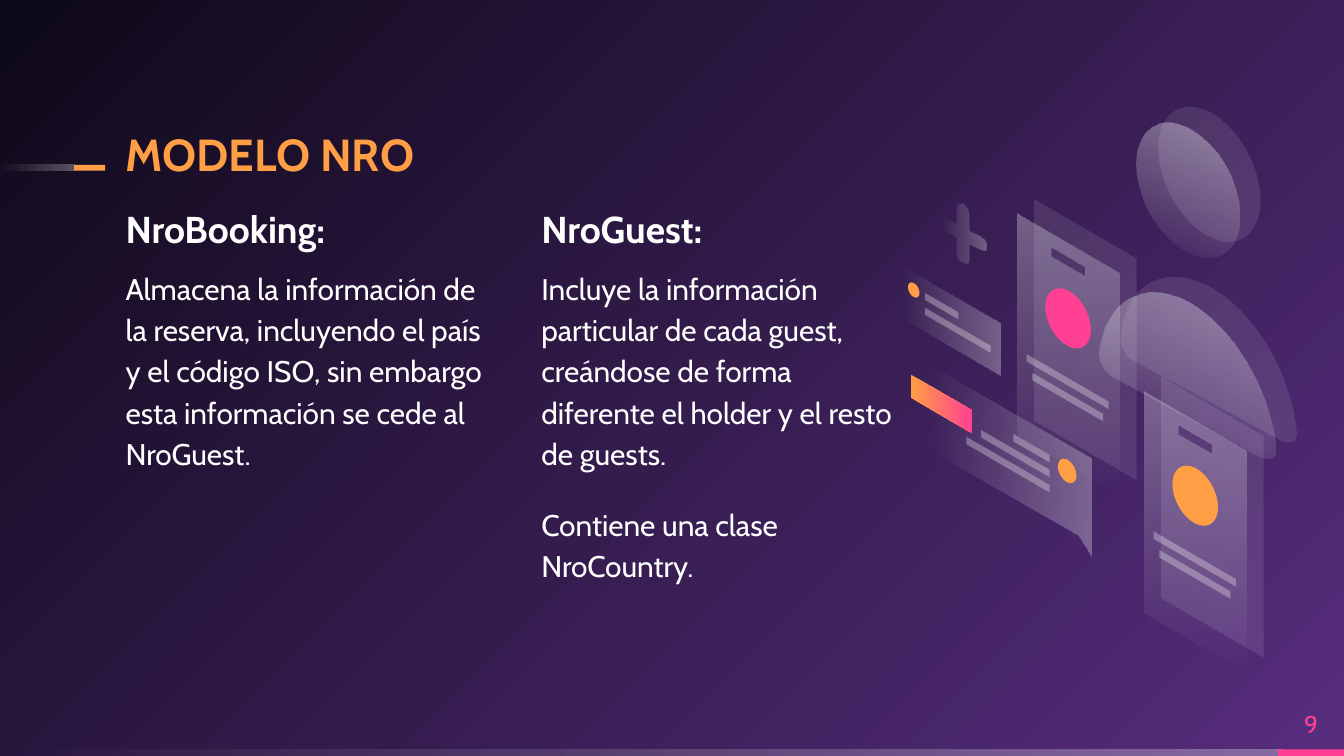
import pptx
import pptx.util
import pptx.dml.color
import pptx.enum.shapes
import pptx.enum.text
import pptx.oxml.ns
from lxml import etree

Pt = pptx.util.Pt
qn = pptx.oxml.ns.qn
ALIGN = pptx.enum.text.PP_ALIGN
ANCHOR = pptx.enum.text.MSO_ANCHOR
WHITE, ORANGE, PINK = "FFFFFF", "FF9E44", "FF4093"
GLASS = [(WHITE, 30), (WHITE, 0)]
BRIGHT = [(WHITE, 40), (WHITE, 0)]
GHOST = [(WHITE, 10)]
STRIPE = [(WHITE, 30)]
SLOPE = 0.58
BODY = [(47.5, 96.5), (23, 83.5, 2.9, 95.8, 0, 123.1),
        (-0.7, 128.2, 2.9, 134.6, 7.9, 136.8), (86.4, 179.3),
        (91.4, 181.4, 95, 179.3, 94.3, 174.2),
        (91.4, 142.6, 71.3, 109.4, 47.5, 96.5)]
PLUS = [(12.2, 0.7), (13.7, 2.2, 15.1, 4.3, 15.1, 6.5), (15.1, 15.1),
        (20.9, 18), (23, 19.4, 24.5, 21.6, 24.5, 23.8),
        (24.5, 25.2, 23, 26.6, 20.9, 25.2), (15.1, 22.3), (15.1, 31),
        (15.1, 32.4, 13.7, 33.8, 12.2, 32.4),
        (10.1, 31.7, 8.6, 29.5, 8.6, 27.4), (8.6, 18.7), (2.9, 15.1),
        (1.4, 14.4, 0, 12.2, 0, 10.1), (0, 7.9, 1.4, 7.2, 2.9, 7.9),
        (8.6, 11.5), (8.6, 2.9), (8.6, 0.7, 10.1, 0, 12.2, 0.7)]


def tint(color, code):
    """Set a colour from a hex string."""
    color.rgb = pptx.dml.color.RGBColor.from_string(code)


def blend(fill, stops, angle):
    """Fill with one colour or a two-stop gradient."""
    if len(stops) == 1:
        fill.solid()
        tint(fill.fore_color, stops[0][0])
        return
    fill.gradient()
    fill.gradient_angle = -angle % 360
    for stop, (code, _) in zip(fill.gradient_stops, stops):
        tint(stop.color, code)


def paint(shape, stops, angle=0):
    """Give a shape its fill and opacity, with no line or shadow."""
    shape.shadow.inherit = False
    blend(shape.fill, stops, angle)
    shape.line.fill.background()
    nodes = shape._element.spPr.iter(qn("a:srgbClr"))
    for node, (_, alpha) in zip(list(nodes), stops):
        if alpha < 100:
            etree.SubElement(node, qn("a:alpha"), val=str(alpha * 1000))


def draw(kids, x, y, rings, stops, angle=0):
    """Draw closed outlines as one freeform, offset by x and y."""
    rings = [[(Pt(x + a), Pt(y + b)) for a, b in ring] for ring in rings]
    pen = kids.build_freeform(*rings[0][0])
    for i, ring in enumerate(rings):
        if i:
            pen.move_to(*ring[0])
        pen.add_line_segments(ring[1:], close=True)
    shape = pen.convert_to_shape()
    paint(shape, stops, angle)
    return shape


def curve(kids, x, y, steps, box, stops, angle=0):
    """Draw a closed outline of lines and cubic curves in a box."""
    shape = draw(kids, x, y, [[step[-2:] for step in steps]], stops, angle)
    left, top, wide, high = box
    shape.left, shape.top = Pt(x + left), Pt(y + top)
    shape.width, shape.height = Pt(wide), Pt(high)
    track = next(shape._element.spPr.iter(qn("a:path")))
    for node in list(track):
        track.remove(node)
    track.set("w", str(Pt(wide)))
    track.set("h", str(Pt(high)))
    for i, step in enumerate(steps):
        kind = "a:cubicBezTo" if len(step) == 6 else "a:lnTo"
        node = etree.SubElement(track, qn(kind if i else "a:moveTo"))
        for a, b in zip(step[::2], step[1::2]):
            etree.SubElement(node, qn("a:pt"), x=str(Pt(a - left)),
                             y=str(Pt(b - top)))
    etree.SubElement(track, qn("a:close"))


def slant(x, y, w, h):
    """Return the corners of an upright panel seen at an angle."""
    drop = w * SLOPE
    return [(x, y), (x + w, y + drop), (x + w, y + drop + h), (x, y + h)]


def disc(kids, x, y, r, stops, angle=0):
    """Draw a disc seen at an angle."""
    k = 0.55
    turns = [[(1, 0)], [(1, k), (k, 1), (0, 1)], [(-k, 1), (-1, k), (-1, 0)],
             [(-1, -k), (-k, -1), (0, -1)], [(k, -1), (1, -k), (1, 0)]]
    steps = [tuple(v for a, b in turn
                   for v in (r * a, r * (1.22 * b + 0.51 * a)))
             for turn in turns]
    curve(kids, x, y, steps, (-r, -1.33 * r, 2 * r, 3.02 * r), stops, angle)


def person(kids, x, y):
    """Draw the figure and its offset ghost."""
    for dx, dy, stops in ((11.5, -8.6, GHOST), (0, 0, BRIGHT)):
        left, top = x + dx, y + dy
        curve(kids, left, top, BODY, (0, 91.4, 96.5, 97.9), stops, 110)
        disc(kids, left + 47.5, top + 36.4, 27.4, stops, 110)


def card(kids, x, y, code):
    """Draw a badge with its ghost, slot, stripes and disc."""
    panel = slant(0, 0, 54.9, 118.8)
    draw(kids, x + 9, y - 8, [panel], GHOST)
    draw(kids, x, y, [panel, slant(18, 18, 18, 5)], GLASS, 90)
    for left, top, wide in ((5, 75, 44), (8, 85, 38)):
        draw(kids, x, y, [slant(left, top, wide, 4)], STRIPE)
    disc(kids, x + 27.2, y + 55.9, 12.2, [(code, 100)])


def note(kids, x, y):
    """Draw the small panel with a dot and two stripes."""
    draw(kids, x, y, [slant(0, 0, 54.5, 28)], GLASS, 180)
    disc(kids, x + 7.8, y + 13.6, 3.1, [(ORANGE, 100)])
    for top, wide in ((15.1, 18), (23, 35.3)):
        draw(kids, x, y, [slant(13.7, top, wide, 3.8)], STRIPE)


def chat(kids, x, y):
    """Draw the speech panel with its tag, stripes and dot."""
    edge = [(0, 0), (87.1, 50.4), (87.1, 103), (79.9, 91.4), (0, 45.4)]
    draw(kids, x, y, [edge], GLASS, 180)
    draw(kids, x, y, [slant(-9.4, 5.8, 33, 12.2)],
         [(ORANGE, 100), (PINK, 100)])
    for left, top in ((45.4, 37.4), (28.1, 35.3), (20.2, 38.9)):
        draw(kids, x, y, [slant(left, top, 64.8 - left, 4)], STRIPE)
    disc(kids, x + 74.2, y + 57.2, 5, [(ORANGE, 100)])


def scene(slide, x, y):
    """Group the illustration at the right."""
    kids = slide.shapes.add_group_shape().shapes
    person(kids, x + 107.2, y + 8.6)
    note(kids, x, y + 84.8)
    card(kids, x + 131.4, y + 152.7, ORANGE)
    card(kids, x + 63.3, y + 57.7, PINK)
    chat(kids, x + 15.8, y + 138.1)
    curve(kids, x + 22.4, y + 51.4, PLUS, (0, 0.2, 24.5, 33), GLASS, 180)


def bar(kids, x, y, w, h, stops):
    """Draw a plain bar."""
    kind = pptx.enum.shapes.MSO_SHAPE.RECTANGLE
    shape = kids.add_shape(kind, Pt(x), Pt(y), Pt(w), Pt(h))
    paint(shape, stops, 180)


def frame(slide, w, h):
    """Lay the backdrop, the foot bars and the title mark."""
    blend(slide.background.fill, [("0E0918", 100), ("572D7E", 100)], 45)
    bar(slide.shapes, 0, h - 3.6, w - 33, 3.6, GLASS)
    bar(slide.shapes, w - 35.3, h - 3.6, 35.3, 3.6, [(PINK, 100)])
    kids = slide.shapes.add_group_shape().shapes
    bar(kids, 0, 88.3, 40, 3.2, GLASS)
    bar(kids, 39.8, 88.3, 16.6, 3.2, [(ORANGE, 100)])


def write(slide, box, lines, code, anchor=ANCHOR.TOP, align=ALIGN.LEFT, lead=1.0):
    """Place lines of (text, size, bold, gap) in a box."""
    area = slide.shapes.add_textbox(*map(Pt, box)).text_frame
    area.word_wrap = True
    area.vertical_anchor = anchor
    area.margin_left = area.margin_right = 0
    area.margin_top = area.margin_bottom = 0
    for i, (text, size, bold, gap) in enumerate(lines):
        para = area.add_paragraph() if i else area.paragraphs[0]
        para.alignment, para.line_spacing = align, lead
        para.space_before = para.space_after = Pt(gap)
        run = para.add_run()
        run.text = text
        run.font.name, run.font.size, run.font.bold = "Cabin", Pt(size), bold
        tint(run.font.color, code)


def column(slide, x, y, head, *texts):
    """Write a heading with its paragraphs."""
    lines = [(head, 20, True, 0)] + [(text, 16, False, 8) for text in texts]
    write(slide, (x, y, 195.1, 269.3), lines, WHITE, lead=1.15)


def main():
    """Build and save the slide."""
    deck = pptx.Presentation()
    deck.slide_width, deck.slide_height = Pt(720), Pt(405)
    slide = deck.slides.add_slide(deck.slide_layouts[6])
    frame(slide, 720, 405)
    column(slide, 67.3, 106.6, "NroBooking:",
           "Almacena la información de la reserva, incluyendo el país y el "
           "código ISO, sin embargo esta información se cede al NroGuest.")
    write(slide, (67.3, 65.9, 417.6, 31), [("MODELO NRO", 24, True, 0)],
          ORANGE, ANCHOR.BOTTOM, lead=0.9)
    column(slide, 290, 106.6, "NroGuest:",
           "Incluye la información particular de cada guest, creándose de "
           "forma diferente el holder y el resto de guests.",
           "Contiene una clase NroCountry.")
    write(slide, (684.7, 374.1, 35.3, 27.4), [("9", 13, False, 0)], PINK,
          ANCHOR.MIDDLE, ALIGN.CENTER)
    scene(slide, 481.7, 57)
    deck.save("out.pptx")


if __name__ == "__main__":
    main()
